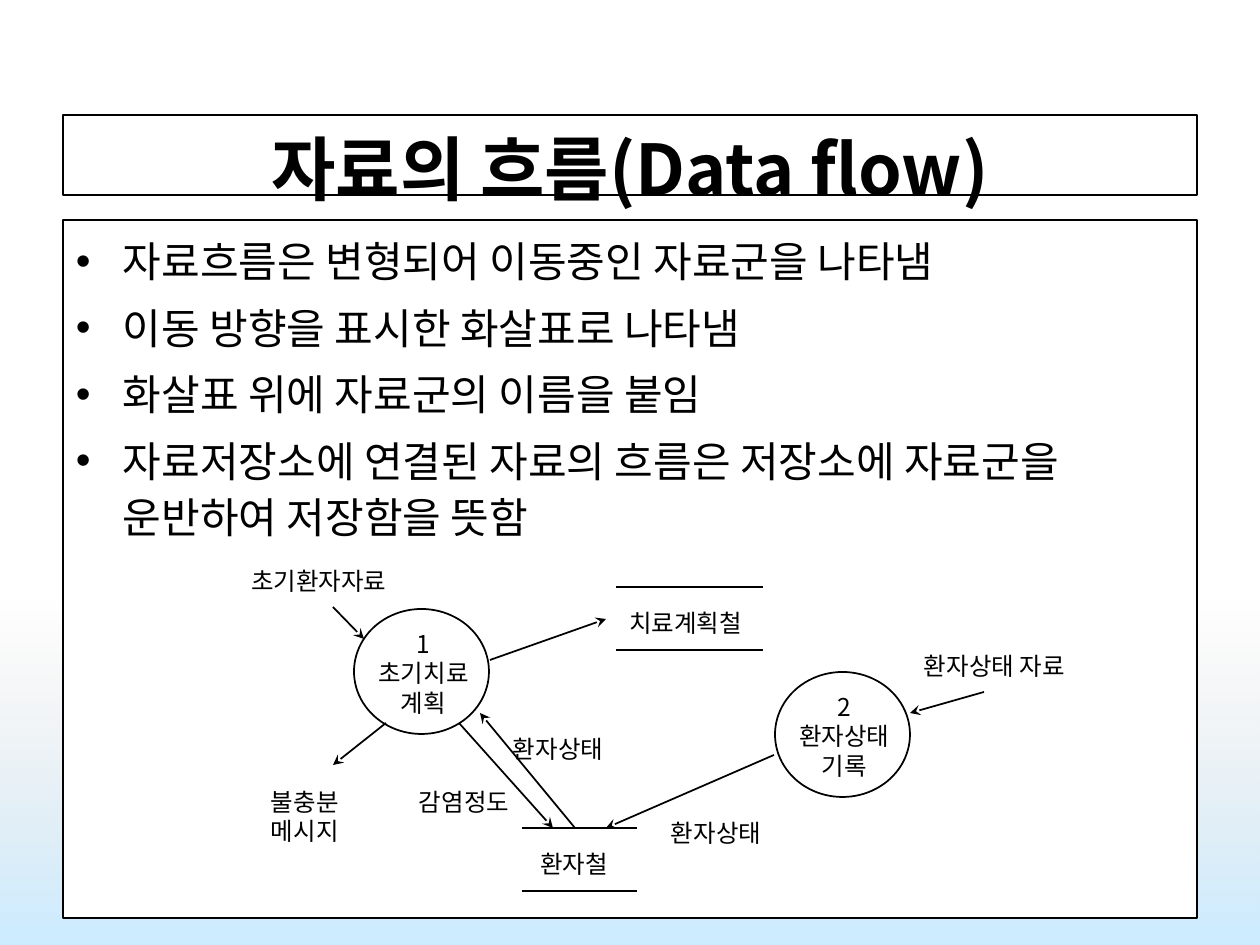
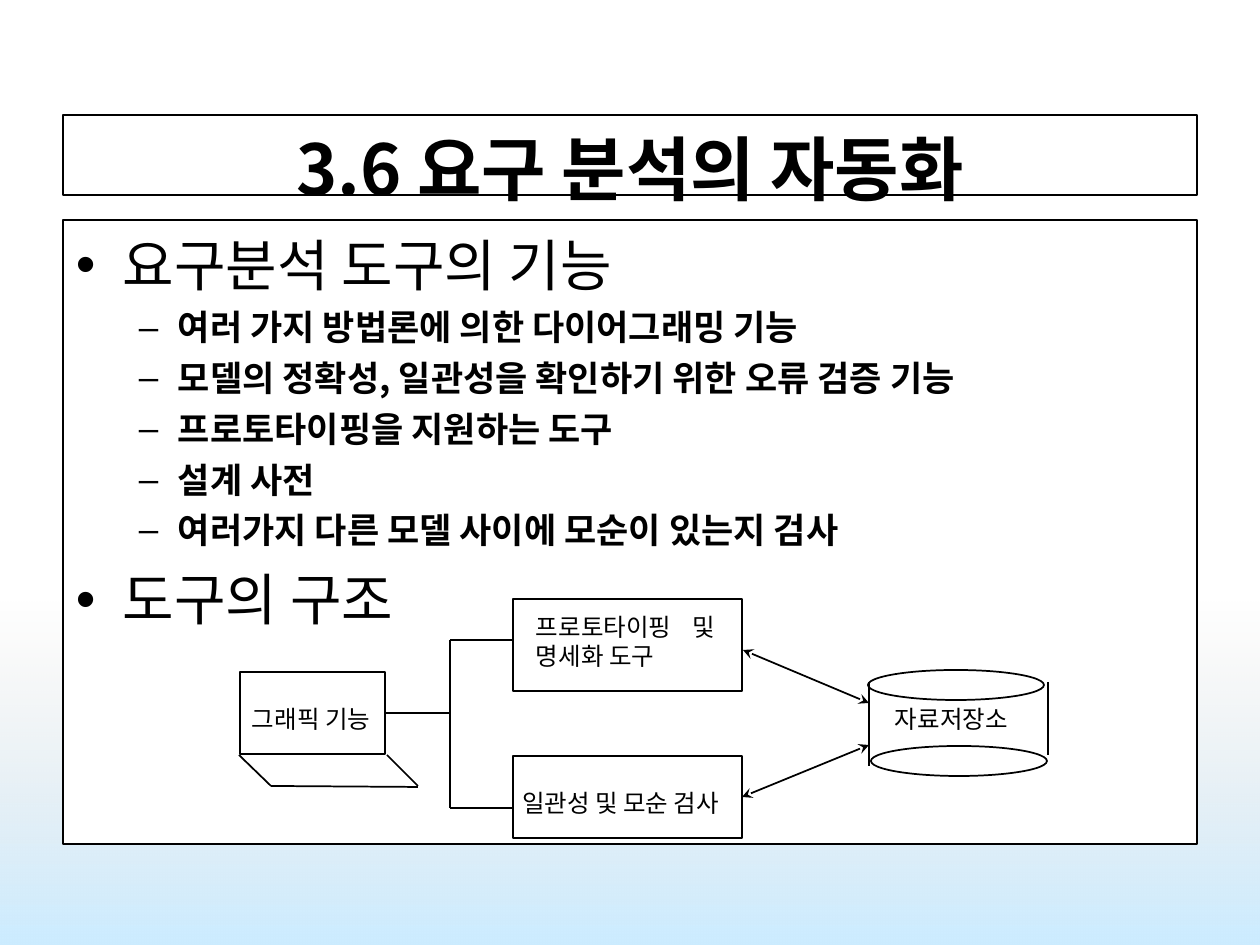
from dataclasses import dataclass
from typing import Optional

from lxml import etree
from pptx import Presentation, util as u
from pptx.dml.color import RGBColor
from pptx.enum import shapes, text
from pptx.oxml.ns import qn

TITLE_ONLY = 5
EMU_PER_INCH, PX_PER_INCH = 914400, 126


@dataclass(frozen=True)
class Theme:
    ink: RGBColor = RGBColor(0x00, 0x00, 0x00)
    paper: RGBColor = RGBColor(0xFF, 0xFF, 0xFF)
    glow_top: RGBColor = RGBColor(0xDD, 0xDD, 0xDD)
    glow_bottom: RGBColor = RGBColor(0xCC, 0xEC, 0xFF)
    korean: str = "Noto Sans CJK KR"
    latin: str = "Arial"
    frame_line: float = 0.75
    diagram_line: float = 1


THEME = Theme()


@dataclass(frozen=True)
class TextStyle:
    size: int
    leading: float
    before: int = 0
    bold: bool = False
    font: str = THEME.korean
    align: text.PP_ALIGN = text.PP_ALIGN.LEFT
    bullet: str = ""
    margin: int = 0
    hang: int = 0
    tab: int = 0


TITLE = TextStyle(40, 48, bold=True, align=text.PP_ALIGN.CENTER)
POINT = TextStyle(24, 32, 6, bullet="•", margin=47, hang=47)
HEADING = TextStyle(32, 38.4, 8, bullet="•", margin=47, hang=47)
DETAIL = TextStyle(20, 24, 5, bold=True, bullet="–", margin=102, hang=39)
LABEL = TextStyle(14, 16.8)
PROCESS = TextStyle(14, 16.8, align=text.PP_ALIGN.CENTER)
TOOL = TextStyle(14, 16.8, font=THEME.latin)
TABBED_TOOL = TextStyle(14, 16.8, font=THEME.latin, tab=157)


@dataclass(frozen=True)
class Box:
    left: int
    top: int
    width: int
    height: int


@dataclass(frozen=True)
class Label:
    left: int
    top: int
    width: int
    lines: tuple
    style: TextStyle = LABEL


@dataclass(frozen=True)
class Line:
    x1: int
    y1: int
    x2: int
    y2: int
    head: bool = False
    tail: bool = False


def px(length: int) -> u.Emu:
    return u.Emu(round(length * EMU_PER_INCH / PX_PER_INCH))


def place(box: Box) -> tuple:
    return px(box.left), px(box.top), px(box.width), px(box.height)


# Text
def set_font(font, style: TextStyle) -> None:
    font.size = u.Pt(style.size)
    font.bold = style.bold
    font.color.rgb = THEME.ink
    font.name = style.font
    etree.SubElement(font._rPr, qn("a:ea"), typeface=THEME.korean)


def write(paragraph, words: str, style: TextStyle) -> None:
    properties = paragraph._p.get_or_add_pPr()
    if style.bullet:
        properties.set("marL", str(px(style.margin)))
        properties.set("indent", str(-px(style.hang)))
        etree.SubElement(properties, qn("a:buFont"), typeface=THEME.latin)
        etree.SubElement(properties, qn("a:buChar"), char=style.bullet)
    if style.tab:
        tabs = etree.SubElement(properties, qn("a:tabLst"))
        etree.SubElement(tabs, qn("a:tab"), pos=str(px(style.tab)), algn="l")
    paragraph.alignment = style.align
    paragraph.line_spacing = u.Pt(style.leading)
    paragraph.space_before = u.Pt(style.before)
    run = paragraph.add_run()
    run.text = words
    for font in (paragraph.font, run.font):
        set_font(font, style)


def fill_frame(frame, lines: list, top_inset: int, wrap: bool = True) -> None:
    frame.word_wrap = wrap
    frame.auto_size = text.MSO_AUTO_SIZE.NONE
    frame.vertical_anchor = text.MSO_ANCHOR.TOP
    frame.margin_left = frame.margin_right = px(13)
    frame.margin_top, frame.margin_bottom = px(top_inset), px(6)
    for index, (words, style) in enumerate(lines):
        paragraph = frame.add_paragraph() if index else frame.paragraphs[0]
        write(paragraph, words, style)


def add_label(slide, label: Label) -> None:
    height = 12 + 30 * len(label.lines)
    shape = slide.shapes.add_textbox(*place(Box(label.left, label.top, label.width, height)))
    lines = [(words, label.style) for words in label.lines]
    fill_frame(shape.text_frame, lines, 8, wrap=bool(label.style.tab))


# Shapes and lines
def add_outline(slide, kind: shapes.MSO_SHAPE, box: Box):
    shape = slide.shapes.add_shape(kind, *place(box))
    shape.shadow.inherit = False
    shape.fill.background()
    shape.line.color.rgb = THEME.ink
    shape.line.width = u.Pt(THEME.diagram_line)
    return shape


def add_line(slide, line: Line, start: Optional[object] = None):
    connector = slide.shapes.add_connector(
        shapes.MSO_CONNECTOR.STRAIGHT, px(line.x1), px(line.y1), px(line.x2), px(line.y2))
    if start is not None:
        connector.begin_connect(start, 3)
    connector.line.color.rgb = THEME.ink
    connector.line.width = u.Pt(THEME.diagram_line)
    outline = connector.line._get_or_add_ln()
    for wanted, tag in ((line.head, "a:headEnd"), (line.tail, "a:tailEnd")):
        if wanted:
            etree.SubElement(outline, qn(tag), type="stealth")
    etree.SubElement(connector._element.spPr, qn("a:effectLst"))
    return connector


# Shared slide frame
def style_frame(shape) -> None:
    shape.fill.solid()
    shape.fill.fore_color.rgb = THEME.paper
    shape.line.color.rgb = THEME.ink
    shape.line.width = u.Pt(THEME.frame_line)


def add_glow(slide) -> None:
    shape = slide.shapes.add_shape(shapes.MSO_SHAPE.RECTANGLE, *place(Box(0, 601, 1260, 344)))
    shape.shadow.inherit = False
    shape.line.fill.background()
    shape.fill.gradient()
    shape.fill.gradient_angle = 270
    for stop, color in zip(shape.fill.gradient_stops, (THEME.glow_top, THEME.glow_bottom)):
        stop.color.rgb = color
    first_color = next(shape._element.spPr.iter(qn("a:srgbClr")))
    etree.SubElement(first_color, qn("a:alpha"), val="0")


def new_slide(presentation, title: str, body: list, body_height: int):
    slide = presentation.slides.add_slide(presentation.slide_layouts[TITLE_ONLY])
    add_glow(slide)
    heading = slide.shapes.title
    heading.left, heading.top, heading.width, heading.height = place(Box(63, 115, 1134, 80))
    style_frame(heading)
    fill_frame(heading.text_frame, [(title, TITLE)], 11)
    panel = slide.shapes.add_textbox(*place(Box(63, 220, 1134, body_height)))
    style_frame(panel)
    fill_frame(panel.text_frame, body, 10)
    return slide


def build_data_flow(presentation) -> None:
    points = (
        "자료흐름은 변형되어 이동중인 자료군을 나타냄",
        "이동 방향을 표시한 화살표로 나타냄",
        "화살표 위에 자료군의 이름을 붙임",
        "자료저장소에 연결된 자료의 흐름은 저장소에 자료군을 운반하여 저장함을 뜻함",
    )
    slide = new_slide(presentation, "자료의 흐름(Data flow)",
                      [(point, POINT) for point in points], 698)

    # Processes
    for left, top, lines in ((354, 609, ("1", "초기치료", "계획")),
                             (775, 672, ("2", "환자상태", "기록"))):
        add_outline(slide, shapes.MSO_SHAPE.OVAL, Box(left, top, 135, 125))
        add_label(slide, Label(left + 9, top + 12, 121, lines, PROCESS))

    # Data stores between two rules
    for left, top, width, label in (
            (616, 587, 147, Label(616, 600, 144, ("치료계획철",))),
            (522, 828, 115, Label(527, 841, 93, ("환자철",)))):
        for y in (top, top + 63):
            add_line(slide, Line(left, y, left + width, y))
        add_label(slide, label)

    # Flows and their names
    for ends in ((333, 607, 364, 639), (386, 723, 333, 765), (490, 660, 606, 619),
                 (575, 828, 480, 713), (459, 723, 553, 828), (774, 755, 606, 828),
                 (984, 692, 910, 713)):
        add_line(slide, Line(*ends, tail=True))
    for label in (
            Label(238, 558, 168, ("초기환자자료",)),
            Label(258, 779, 97, ("불충분", "메시지")),
            Label(500, 726, 121, ("환자상태",)),
            Label(406, 779, 121, ("감염정도",)),
            Label(658, 810, 121, ("환자상태",)),
            Label(911, 643, 175, ("환자상태 자료",))):
        add_label(slide, label)


def build_automation(presentation) -> None:
    slide = new_slide(presentation, "3.6 요구 분석의 자동화", [
        ("요구분석 도구의 기능", HEADING),
        ("여러 가지 방법론에 의한 다이어그래밍 기능", DETAIL),
        ("모델의 정확성, 일관성을 확인하기 위한 오류 검증 기능", DETAIL),
        ("프로토타이핑을 지원하는 도구", DETAIL),
        ("설계 사전", DETAIL),
        ("여러가지 다른 모델 사이에 모순이 있는지 검사", DETAIL),
        ("도구의 구조", HEADING),
    ], 624)

    # Tools
    graphics, prototyping, checking = (
        add_outline(slide, shapes.MSO_SHAPE.RECTANGLE, box)
        for box in (Box(240, 672, 145, 82), Box(513, 599, 229, 92), Box(513, 756, 229, 82)))

    # Repository cylinder
    for left, top in ((868, 670), (871, 746)):
        add_outline(slide, shapes.MSO_SHAPE.OVAL, Box(left, top, 176, 30))

    for label in (
            Label(239, 696, 151, ("그래픽 기능",), TOOL),
            Label(523, 604, 242, ("프로토타이핑\t및", "명세화 도구"), TABBED_TOOL),
            Label(509, 780, 243, ("일관성 및 모순 검사",), TOOL),
            Label(882, 696, 139, ("자료저장소",), TOOL)):
        add_label(slide, label)

    # Keyboard, branch and cylinder sides
    for ends in ((239, 755, 271, 786), (271, 786, 418, 787), (387, 755, 418, 786),
                 (450, 640, 450, 808), (450, 640, 513, 640), (450, 808, 513, 808),
                 (869, 682, 869, 766), (1048, 682, 1048, 755)):
        add_line(slide, Line(*ends))
    add_line(slide, Line(385, 713, 450, 713), start=graphics)

    # Exchange with the repository
    add_line(slide, Line(743, 650, 869, 703, head=True, tail=True))
    add_line(slide, Line(742, 797, 869, 745, head=True, tail=True), start=checking)


def main() -> None:
    presentation = Presentation()
    presentation.slide_width, presentation.slide_height = px(1260), px(945)
    build_data_flow(presentation)
    build_automation(presentation)
    presentation.save("out.pptx")


if __name__ == "__main__":
    main()
